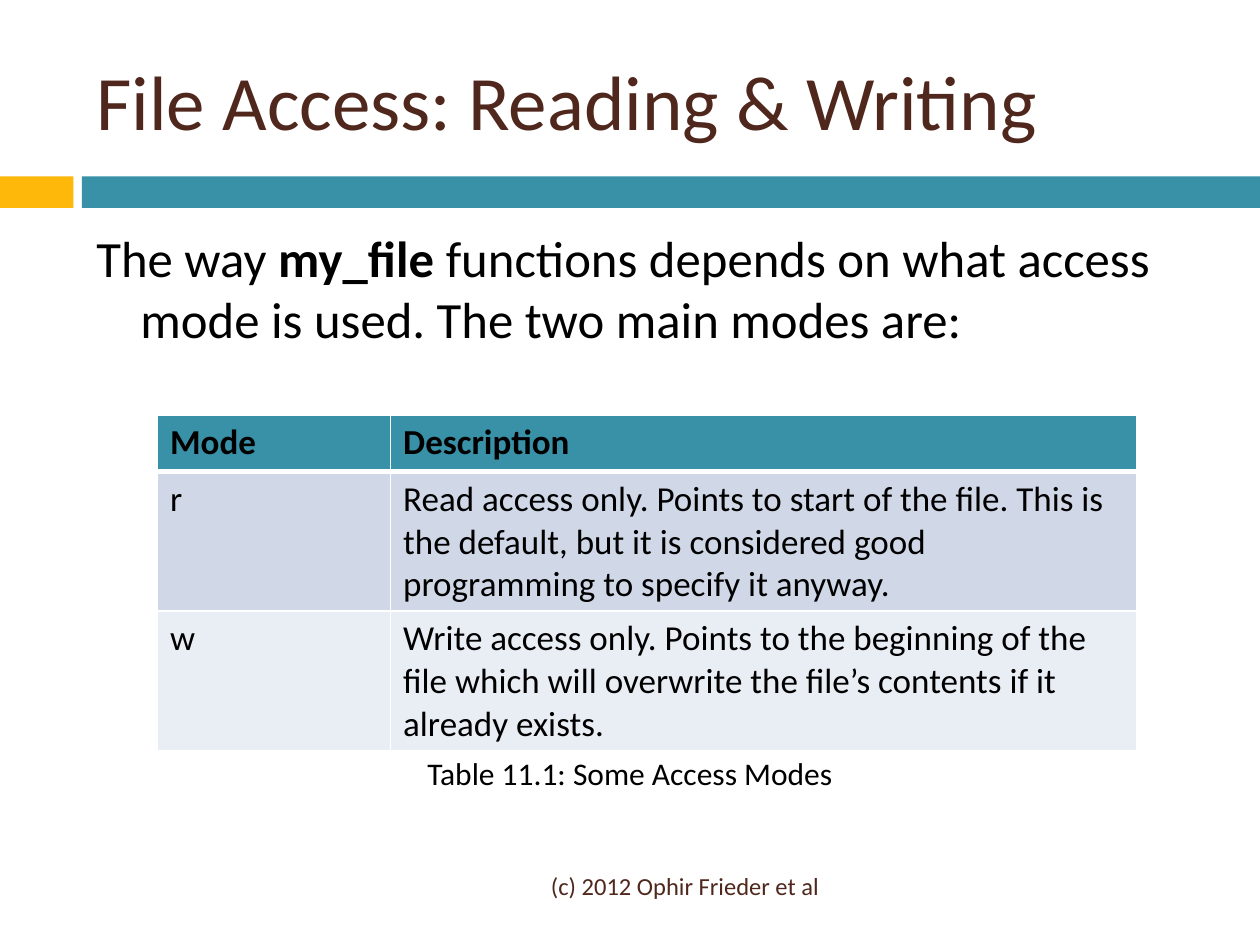
import pptx
import pptx.dml.color
import pptx.enum.shapes
import pptx.enum.text
import pptx.oxml
import pptx.oxml.ns
import pptx.util

COLORS = {
    "accent": "FEB80A",
    "teal": "3891A7",
    "brown": "4F271C",
    "black": "000000",
    "white": "FFFFFF",
    "band_dark": "D0D8E8",
    "band_light": "E9EDF4",
}
ALIGN = pptx.enum.text.PP_ALIGN
ANCHOR = pptx.enum.text.MSO_ANCHOR


def rgb(name):
    return pptx.dml.color.RGBColor.from_string(COLORS[name])


def write(tf, *runs, size, color="black", bold=False, font="Calibri",
          align=ALIGN.LEFT, before=0):
    """Fill the first paragraph; a run is a string or a (string, bold) pair."""
    p = tf.paragraphs[0]
    p.alignment = align
    p.space_before = pptx.util.Pt(before)
    for run in runs:
        text, is_bold = (run, bold) if isinstance(run, str) else run
        r = p.add_run()
        r.text = text
        r.font.name, r.font.size = font, pptx.util.Pt(size)
        r.font.bold, r.font.color.rgb = is_bold, rgb(color)
    return p


class Deck:
    """Current slide on a grid of 120 columns by 90 rows."""
    COLS, ROWS = 120, 90

    def __init__(self, width, height):
        self.prs = pptx.Presentation()
        self.prs.slide_width = pptx.util.Inches(width)
        self.prs.slide_height = pptx.util.Inches(height)
        self.s = self.prs.slides.add_slide(self.prs.slide_layouts[6])

    def x(self, cols):
        return round(self.prs.slide_width * cols / self.COLS)

    def y(self, rows):
        return round(self.prs.slide_height * rows / self.ROWS)

    def box(self, left, top, width, height):
        return self.x(left), self.y(top), self.x(width), self.y(height)

    def bar(self, *area, fill):
        kind = pptx.enum.shapes.MSO_SHAPE.RECTANGLE
        sp = self.s.shapes.add_shape(kind, *self.box(*area))
        sp.shadow.inherit = False
        sp.fill.solid()
        sp.fill.fore_color.rgb = rgb(fill)
        sp.line.fill.background()

    def text(self, *area, runs, anchor=ANCHOR.TOP, hang=0, **fmt):
        tf = self.s.shapes.add_textbox(*self.box(*area)).text_frame
        tf.word_wrap = True
        tf.vertical_anchor = anchor
        p = write(tf, *runs, **fmt)
        if hang:
            pPr = p._p.get_or_add_pPr()
            pPr.set("marL", str(self.x(hang)))
            pPr.set("indent", str(-self.x(hang)))

    def border(self, cell, side, width):
        tag = f"a:ln{side}"
        cell._tc.get_or_add_tcPr().append(pptx.oxml.parse_xml(
            f'<{tag} {pptx.oxml.ns.nsdecls("a")} w="{pptx.util.Pt(width)}">'
            f'<a:solidFill><a:srgbClr val="{COLORS["white"]}"/></a:solidFill></{tag}>'))

    def table(self, left, top, widths, heights, rows, fills, size):
        area = self.box(left, top, sum(widths), sum(heights))
        table = self.s.shapes.add_table(len(rows), len(widths), *area).table
        for column, width in zip(table.columns, widths):
            column.width = self.x(width)
        for i, (row, height) in enumerate(zip(rows, heights)):
            table.rows[i].height = self.y(height)
            for j, text in enumerate(row):
                cell = table.cell(i, j)
                write(cell.text_frame, text, size=size, bold=i == 0)
                # A thick rule parts the header from the body
                for side in "LRTB":
                    thick = (i, side) in ((0, "B"), (1, "T"))
                    self.border(cell, side, 3 if thick else 1)
                cell.fill.solid()
                cell.fill.fore_color.rgb = rgb(fills[i])


def main():
    deck = Deck(10, 7.5)
    margin, content = 8, 107

    # Title and divider
    deck.bar(0, 16.8, 7, 3, fill="accent")
    deck.bar(7.8, 16.8, 112.2, 3, fill="teal")
    deck.text(margin, 3, content, 13, runs=["File Access: Reading & Writing"],
              anchor=ANCHOR.MIDDLE, size=44, color="brown")

    # Introduction
    deck.text(margin, 21, content, 59, hang=4.2, size=29, before=7, runs=[
        "The way ", ("my_file ", True),
        "functions depends on what access mode is used. The two main modes are:"])

    # Access modes
    deck.table(15, 39.5, widths=[22.2, 71.1], heights=[5.4, 13.3, 13.3], size=20,
               fills=["teal", "band_dark", "band_light"], rows=[
                   ("Mode", "Description"),
                   ("r", "Read access only. Points to start of the file. This is the "
                         "default, but it is considered good programming to specify "
                         "it anyway."),
                   ("w", "Write access only. Points to the beginning of the file which "
                         "will overwrite the file’s contents if it already exists."),
               ])
    deck.text(20, 71.2, 80, 4.8, runs=["Table 11.1: Some Access Modes"],
              size=18, align=ALIGN.CENTER)

    # Footer
    deck.text(margin, 82, 71.2, 4.8, runs=["(c) 2012 Ophir Frieder et al"],
              anchor=ANCHOR.MIDDLE, size=14, color="brown", align=ALIGN.RIGHT)

    deck.prs.save("out.pptx")


if __name__ == "__main__":
    main()
